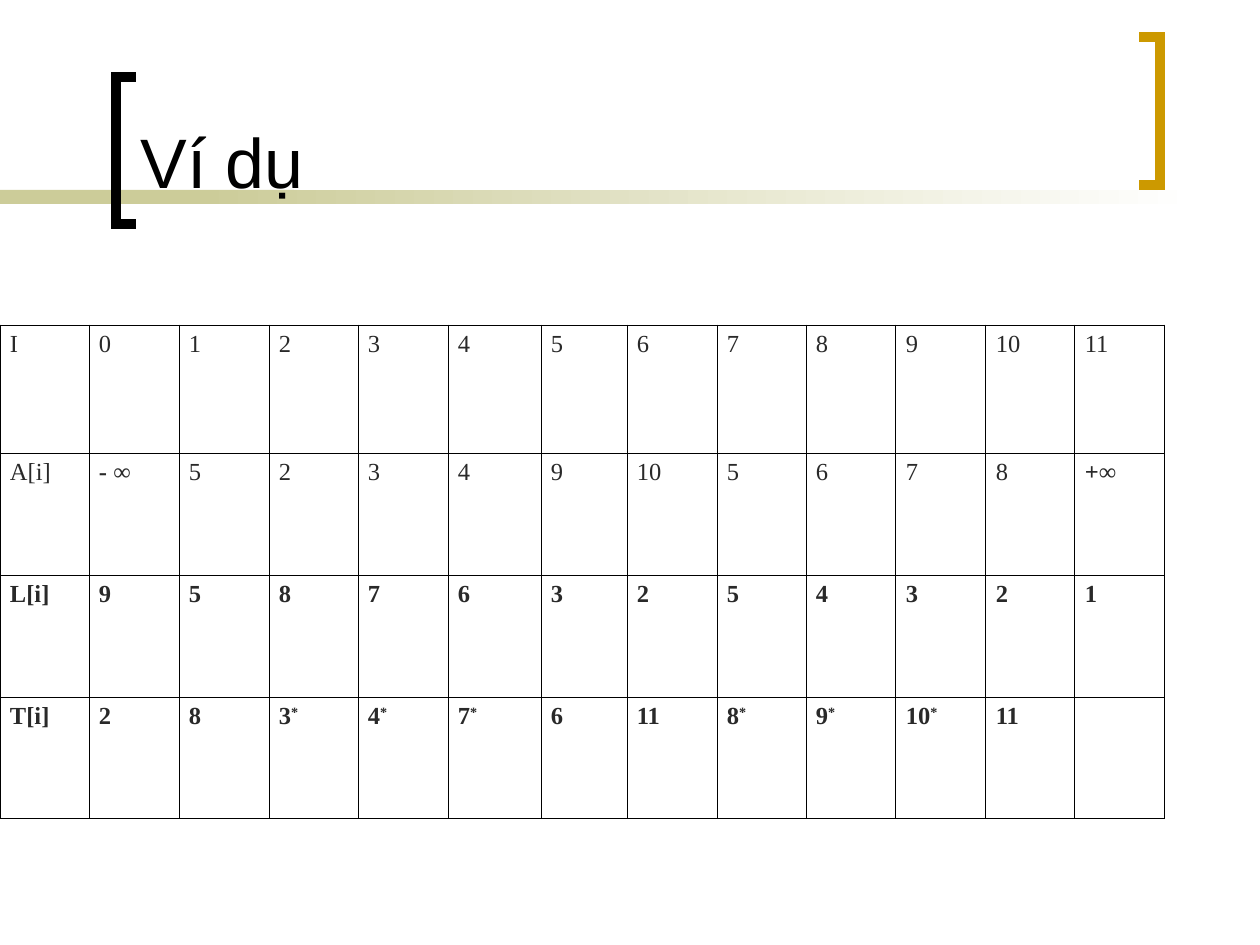
"""Build a slide with a bracketed title and a table of sequence values."""
from lxml import etree
from pptx import Presentation
from pptx.dml.color import RGBColor
from pptx.enum.shapes import MSO_SHAPE
from pptx.enum.text import MSO_ANCHOR, PP_ALIGN
from pptx.oxml import parse_xml
from pptx.oxml.ns import nsdecls, qn
from pptx.util import Emu, Pt

RECT = MSO_SHAPE.RECTANGLE
BOTTOM = MSO_ANCHOR.BOTTOM
JUSTIFY = PP_ALIGN.JUSTIFY
UNIT = 914400 / 126

TITLE = "Ví dụ"
BLACK, INK, SAND, GOLD, WHITE = "000000", "292929", "CCCC99", "CC9900", "FFFFFF"
BARS = [(0, 190, 294, 14, [SAND]), (199, 190, 998, 14, [SAND, WHITE])]
HOOKS = [
    ([(136, 224), (116, 224), (116, 77), (136, 77)], BLACK),
    ([(1139, 37), (1160, 37), (1160, 185), (1139, 185)], GOLD),
]
ROWS = [
    (False, ["I", "0", "1", "2", "3", "4", "5", "6", "7", "8", "9", "10", "11"]),
    (False, ["A[i]", ("-", " ∞"), "5", "2", "3", "4", "9", "10", "5", "6", "7", "8",
             ("+", "∞")]),
    (True, ["L[i]", "9", "5", "8", "7", "6", "3", "2", "5", "4", "3", "2", "1"]),
    (True, ["T[i]", "2", "8", ("3", "*"), ("4", "*"), ("7", "*"), "6", "11",
            ("8", "*"), ("9", "*"), ("10", "*"), "11", ""]),
]
XS = [0, 89, 179, 269, 358, 448, 541, 627, 717, 806, 896, 986, 1075, 1165]
YS = [325, 453, 575, 697, 818]


def px(n):
    return Emu(round(n * UNIT))


def tint(code):
    return RGBColor.from_string(code)


def write(para, text, size, face, color, bold=False):
    run = para.add_run()
    run.text = text
    font = run.font
    font.size, font.name, font.bold = Pt(size), face, bold
    font.color.rgb = tint(color)
    if text == "*":
        run._r.get_or_add_rPr().set("baseline", "30000")


def add_bar(slide, x, y, w, h, stops):
    bar = slide.shapes.add_shape(RECT, px(x), px(y), px(w), px(h))
    bar.shadow.inherit = False
    bar.line.fill.background()
    if len(stops) == 1:
        bar.fill.solid()
        bar.fill.fore_color.rgb = tint(stops[0])
        return
    bar.fill.gradient()
    bar.fill.gradient_angle = 0
    for stop, code in zip(bar.fill.gradient_stops, stops):
        stop.color.rgb = tint(code)


def add_hook(slide, points, color):
    pen = slide.shapes.build_freeform(*points[0], scale=UNIT)
    pen.add_line_segments(points[1:], close=False)
    hook = pen.convert_to_shape()
    hook.shadow.inherit = False
    hook.fill.background()
    hook.line.color.rgb = tint(color)
    hook.line.width = Pt(6)
    etree.SubElement(hook.line._get_or_add_ln(), qn("a:miter"), lim="800000")


def add_title(slide):
    box = slide.shapes.add_textbox(px(128), px(14), px(987), px(195))
    frame = box.text_frame
    frame.word_wrap = True
    frame.vertical_anchor = BOTTOM
    write(frame.paragraphs[0], TITLE, 40, "Arial", BLACK)


def set_cell(cell, runs, bold):
    props = cell._tc.get_or_add_tcPr()
    for side in "LRTB":
        props.append(parse_xml(
            f'<a:ln{side} {nsdecls("a")} w="5715"><a:solidFill>'
            f'<a:srgbClr val="{BLACK}"/></a:solidFill></a:ln{side}>'))
    cell.fill.background()
    cell.margin_left = cell.margin_right = px(10)
    cell.margin_top = cell.margin_bottom = px(6)
    para = cell.text_frame.paragraphs[0]
    para.alignment = JUSTIFY
    for text in [runs] if isinstance(runs, str) else runs:
        if text:
            write(para, text, 14, "Times New Roman", INK, bold or text in ("-", "+"))


def add_grid(slide):
    frame = slide.shapes.add_table(
        len(ROWS), len(XS) - 1, px(XS[0]), px(YS[0]),
        px(XS[-1] - XS[0]), px(YS[-1] - YS[0]))
    grid = frame.table
    grid.first_row = grid.horz_banding = False
    for col, left, right in zip(grid.columns, XS, XS[1:]):
        col.width = px(right - left)
    for row, top, base, (bold, cells) in zip(grid.rows, YS, YS[1:], ROWS):
        row.height = px(base - top)
        for cell, runs in zip(row.cells, cells):
            set_cell(cell, runs, bold)


def main():
    deck = Presentation()
    deck.slide_width, deck.slide_height = px(1260), px(945)
    slide = deck.slides.add_slide(deck.slide_layouts[6])
    for bar in BARS:
        add_bar(slide, *bar)
    for hook in HOOKS:
        add_hook(slide, *hook)
    add_title(slide)
    add_grid(slide)
    deck.save("out.pptx")


if __name__ == "__main__":
    main()
